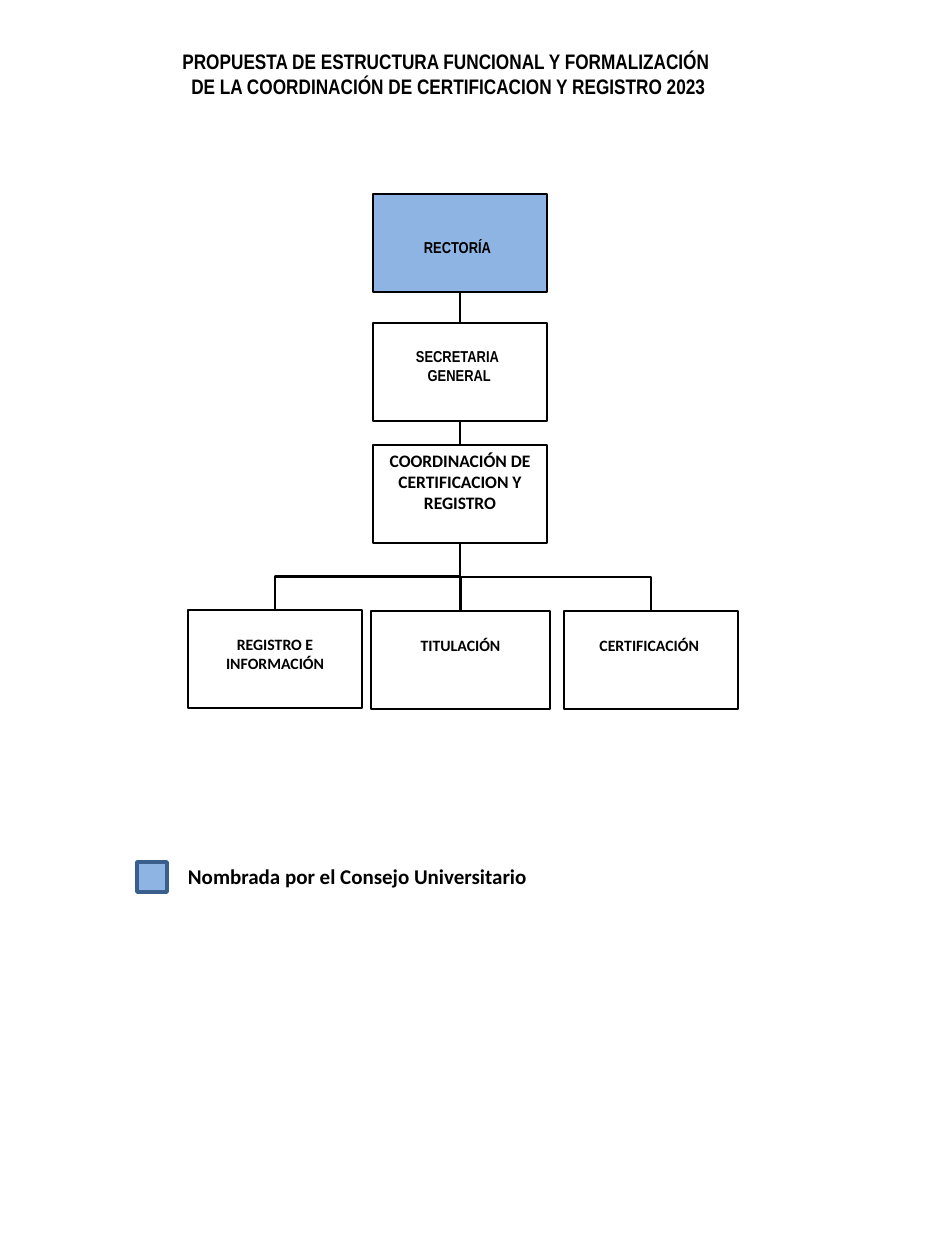
from lxml import etree
from pptx import Presentation
from pptx import util as u
from pptx.dml.color import RGBColor
from pptx.enum import shapes, text
from pptx.oxml.ns import qn

PX = 914400 / 126
COLORS = {"ink": "000000", "appointed": "8EB4E3", "legend_edge": "3A5F8C"}
BOX_W, BOX_H = 174, 98
RECT = shapes.MSO_SHAPE.RECTANGLE
PROCESS = shapes.MSO_SHAPE.FLOWCHART_PROCESS
CENTER = text.PP_ALIGN.CENTER


def px(*lengths):
    return [u.Emu(round(length * PX)) for length in lengths]


def color(name):
    return RGBColor.from_string(COLORS[name])


def write(frame, lines, font, size, align, insets=(13, 6, 13, 6)):
    frame.word_wrap = True
    frame.auto_size = text.MSO_AUTO_SIZE.NONE
    frame.vertical_anchor = text.MSO_ANCHOR.TOP
    (frame.margin_left, frame.margin_top,
     frame.margin_right, frame.margin_bottom) = px(*insets)
    for i, line in enumerate(lines):
        paragraph = frame.add_paragraph() if i else frame.paragraphs[0]
        paragraph.text = line
        paragraph.alignment = align
        paragraph.space_before = u.Pt(0)
        paragraph.font.name = font
        paragraph.font.size = u.Pt(size)
        paragraph.font.bold = True
        paragraph.font.color.rgb = color("ink")


def add_box(slide, box, kind=RECT, fill=None, edge="ink", weight=1.5):
    unit = slide.shapes.add_shape(kind, *px(*box))
    unit.shadow.inherit = False
    if fill:
        unit.fill.solid()
        unit.fill.fore_color.rgb = color(fill)
    else:
        unit.fill.background()
    unit.line.color.rgb = color(edge)
    unit.line.width = u.Pt(weight)
    return unit


def add_link(slide, kind, start, end):
    link = slide.shapes.add_connector(kind, *px(*start, *end))
    link.line.color.rgb = color("ink")
    link.line.width = u.Pt(1.5)
    etree.SubElement(link._element.spPr, qn("a:effectLst"))


def add_branch(slide, start, end):
    (x1, y1), (x2, y2) = start, end
    mid_x, mid_y = (x1 + x2) / 2, (y1 + y2) / 2
    half_w, half_h = (y2 - y1) / 2, abs(x2 - x1) / 2
    leftward = x2 < x1
    side = -half_w if leftward else half_w
    add_link(slide, shapes.MSO_CONNECTOR.ELBOW,
             (mid_x + side, mid_y - half_h), (mid_x - side, mid_y + half_h))
    xfrm = slide.shapes[-1]._element.spPr.find(qn("a:xfrm"))
    xfrm.set("rot", str((90 if leftward else 270) * 60000))


def add_title(slide, left, top, width, height):
    title = slide.shapes.title
    title.left, title.top, title.width, title.height = px(left, top, width, height)
    write(title.text_frame,
          ["PROPUESTA DE ESTRUCTURA FUNCIONAL Y FORMALIZACIÓN ",
           "DE LA COORDINACIÓN DE CERTIFICACION Y REGISTRO 2023"],
          "Arial Narrow", 12, CENTER)


def add_chart(slide, left, top):
    chain_left = left + 185
    axis = chain_left + BOX_W / 2
    chain = [
        (0, PROCESS, "appointed", ["RECTORÍA"], "Arial Narrow", 9, (5, 44, 10, 5)),
        (129, PROCESS, None, ["SECRETARIA", " GENERAL"], "Arial Narrow", 9, (5, 24, 10, 5)),
        (251, RECT, None, ["COORDINACIÓN DE CERTIFICACION Y REGISTRO"],
         "Calibri", 10, (13, 5, 13, 6)),
    ]
    above = None
    for offset, kind, fill, lines, font, size, insets in chain:
        y = top + offset
        unit = add_box(slide, (chain_left, y, BOX_W, BOX_H), kind, fill)
        write(unit.text_frame, lines, font, size, CENTER, insets)
        if above:
            add_link(slide, shapes.MSO_CONNECTOR.STRAIGHT, (axis, above), (axis, y))
        above = y + BOX_H

    areas = [
        (0, 416, BOX_W, "REGISTRO E INFORMACIÓN"),
        (183, 417, 179, "TITULACIÓN"),
        (376, 417, BOX_W, "CERTIFICACIÓN "),
    ]
    for x, y, width, name in areas:
        area = add_box(slide, (left + x, top + y, width, BOX_H))
        write(area.text_frame, [name], "Calibri", 9, CENTER, (13, 25, 13, 6))
        add_branch(slide, (axis, above), (left + x + width / 2, top + y))


def add_legend(slide, left, top):
    add_box(slide, (left, top + 4, 30, 30), RECT, "appointed", "legend_edge", 2)
    label = slide.shapes.add_textbox(*px(left + 38, top, 466, 38))
    write(label.text_frame, ["Nombrada por el Consejo Universitario"],
          "Calibri", 12, text.PP_ALIGN.LEFT)


def main():
    deck = Presentation()
    deck.slide_width, deck.slide_height = px(945, 1260)
    slide = deck.slides.add_slide(deck.slide_layouts[5])
    add_title(slide, 132, 42, 633, 63)
    add_chart(slide, 188, 194)
    add_legend(slide, 137, 858)
    deck.save("out.pptx")


if __name__ == "__main__":
    main()
